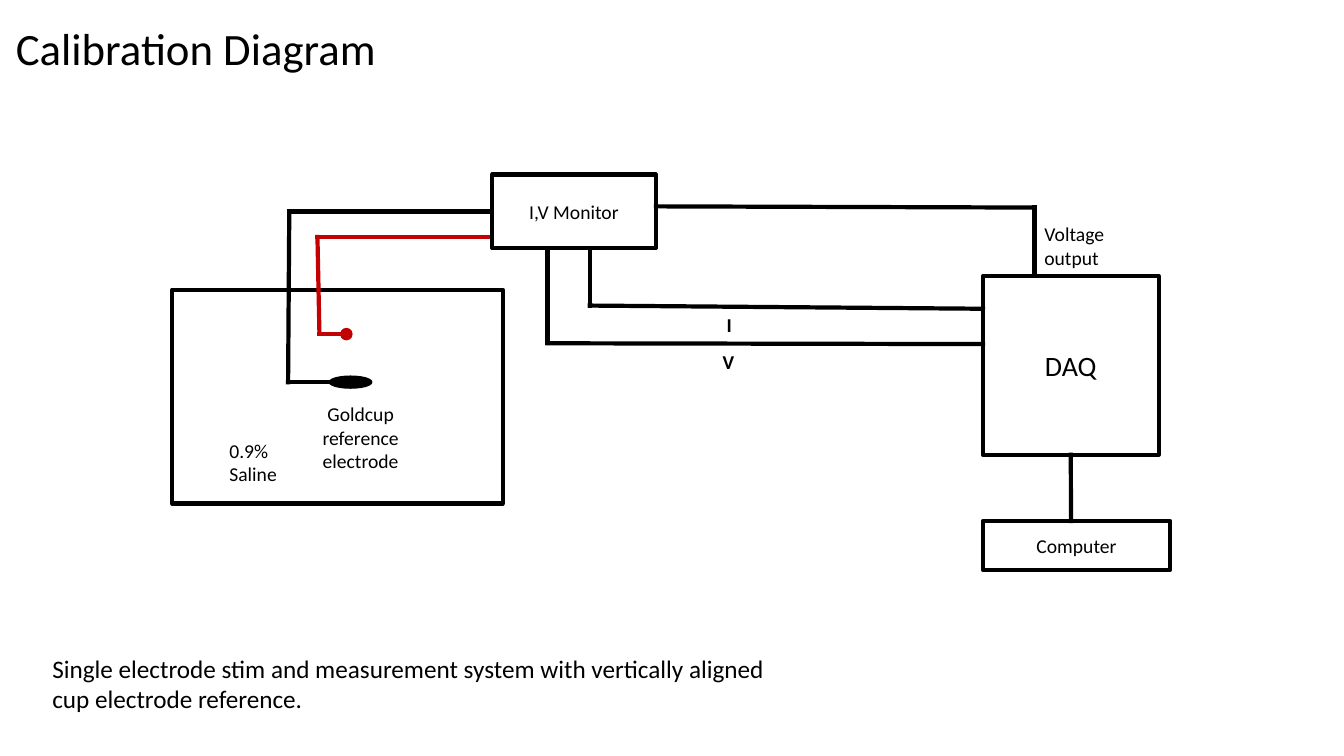
"""Build the calibration diagram slide."""
from itertools import pairwise

from lxml import etree
from pptx import Presentation
from pptx.dml.color import RGBColor
from pptx.enum.shapes import MSO_CONNECTOR, MSO_SHAPE
from pptx.enum.text import MSO_ANCHOR, PP_ALIGN
from pptx.oxml.ns import qn
from pptx.util import Cm, Pt

RECTANGLE, OVAL = MSO_SHAPE.RECTANGLE, MSO_SHAPE.OVAL
STRAIGHT = MSO_CONNECTOR.STRAIGHT
LEFT, CENTER = PP_ALIGN.LEFT, PP_ALIGN.CENTER
TOP, MIDDLE = MSO_ANCHOR.TOP, MSO_ANCHOR.MIDDLE
BLACK, WHITE, RED = "000000", "FFFFFF", "C00000"
WIRE_RED = "C40203"


def color(value):
    return RGBColor.from_string(value)


def write(shape, text, size, alignment, anchor, bold=False, spacing=1.0):
    frame = shape.text_frame
    frame.word_wrap = True
    frame.vertical_anchor = anchor
    frame.text = text
    for paragraph in frame.paragraphs:
        paragraph.alignment = alignment
        paragraph.line_spacing = spacing
        paragraph.font.name = "Calibri"
        paragraph.font.size = Pt(size)
        paragraph.font.bold = bold
        paragraph.font.color.rgb = color(BLACK)


presentation = Presentation()
presentation.slide_width = Cm(33.87)
presentation.slide_height = Cm(19.05)
slide = presentation.slides.add_slide(presentation.slide_layouts[6])

shapes = {}
for name, kind, left, top, width, height, fill, line, weight, text, size in [
    ("tank", RECTANGLE, 4.34, 7.3, 8.33, 5.39, WHITE, BLACK, 3, "", 14),
    ("monitor", RECTANGLE, 12.4, 4.4, 4.13, 1.85, WHITE, BLACK, 3, "I,V Monitor", 14),
    ("daq", RECTANGLE, 24.77, 6.96, 4.43, 4.5, WHITE, BLACK, 3, "DAQ", 20),
    ("computer", RECTANGLE, 24.77, 13.13, 4.72, 1.23, WHITE, BLACK, 3, "Computer", 14),
    ("electrode", OVAL, 8.59, 8.28, 0.28, 0.28, RED, RED, 1, "", 14),
    ("reference", OVAL, 8.3, 9.48, 1.07, 0.3, BLACK, BLACK, 1, "", 14),
]:
    shape = slide.shapes.add_shape(kind, Cm(left), Cm(top), Cm(width), Cm(height))
    shape.shadow.inherit = False
    shape.fill.solid()
    shape.fill.fore_color.rgb = color(fill)
    shape.line.color.rgb = color(line)
    shape.line.width = Pt(weight)
    if text:
        write(shape, text, size, CENTER, MIDDLE)
    shapes[name] = shape

for wire_color, points in [
    (WIRE_RED, [(12.3, 5.97), (11.87, 5.97), (8, 5.97), (8.05, 8.41), (8.73, 8.41)]),
    (BLACK, [(12.4, 5.33), (7.29, 5.33), (7.26, 9.63), (8.85, 9.63)]),
    (BLACK, [(14.86, 6.25), (14.86, 7.7), (24.77, 7.78)]),
    (BLACK, [(13.8, 6.25), (13.8, 8.65), (24.77, 8.67)]),
    (BLACK, [(16.53, 5.2), (26.07, 5.23), (26.07, 6.96)]),
    (BLACK, [(26.99, 11.46), (26.99, 13.13)]),
]:
    for start, end in pairwise(points):
        wire = slide.shapes.add_connector(STRAIGHT, *map(Cm, start + end))
        wire.line.color.rgb = color(wire_color)
        wire.line.width = Pt(3)
        properties = wire.element.spPr
        properties.find(qn("a:ln")).set("cap", "sq")
        etree.SubElement(properties, qn("a:effectLst"))
wire.begin_connect(shapes["daq"], 2)

caption = ("Single electrode stim and measurement system with vertically aligned "
           "cup electrode reference.")
for text, left, top, width, height, size, alignment, anchor, bold, spacing in [
    ("Calibration Diagram", 0.15, 0.25, 11.05, 2.08, 32, LEFT, MIDDLE, False, 0.9),
    ("0.9% Saline", 5.53, 10.93, 2.74, 1.45, 14, LEFT, TOP, False, 1.0),
    ("Goldcup reference electrode", 7.4, 10.01, 3.38, 2.06, 14, CENTER, TOP, False, 1.0),
    ("Voltage\noutput", 26.07, 5.48, 2.18, 1.45, 14, LEFT, TOP, False, 1.0),
    ("I", 18.06, 7.77, 0.91, 0.86, 14, LEFT, TOP, True, 1.0),
    ("V", 17.96, 8.69, 0.91, 0.86, 14, LEFT, TOP, True, 1.0),
    (caption, 1.07, 16.33, 19.41, 1.8, 18, LEFT, TOP, False, 1.0),
]:
    label = slide.shapes.add_textbox(Cm(left), Cm(top), Cm(width), Cm(height))
    write(label, text, size, alignment, anchor, bold, spacing)

presentation.save("out.pptx")
